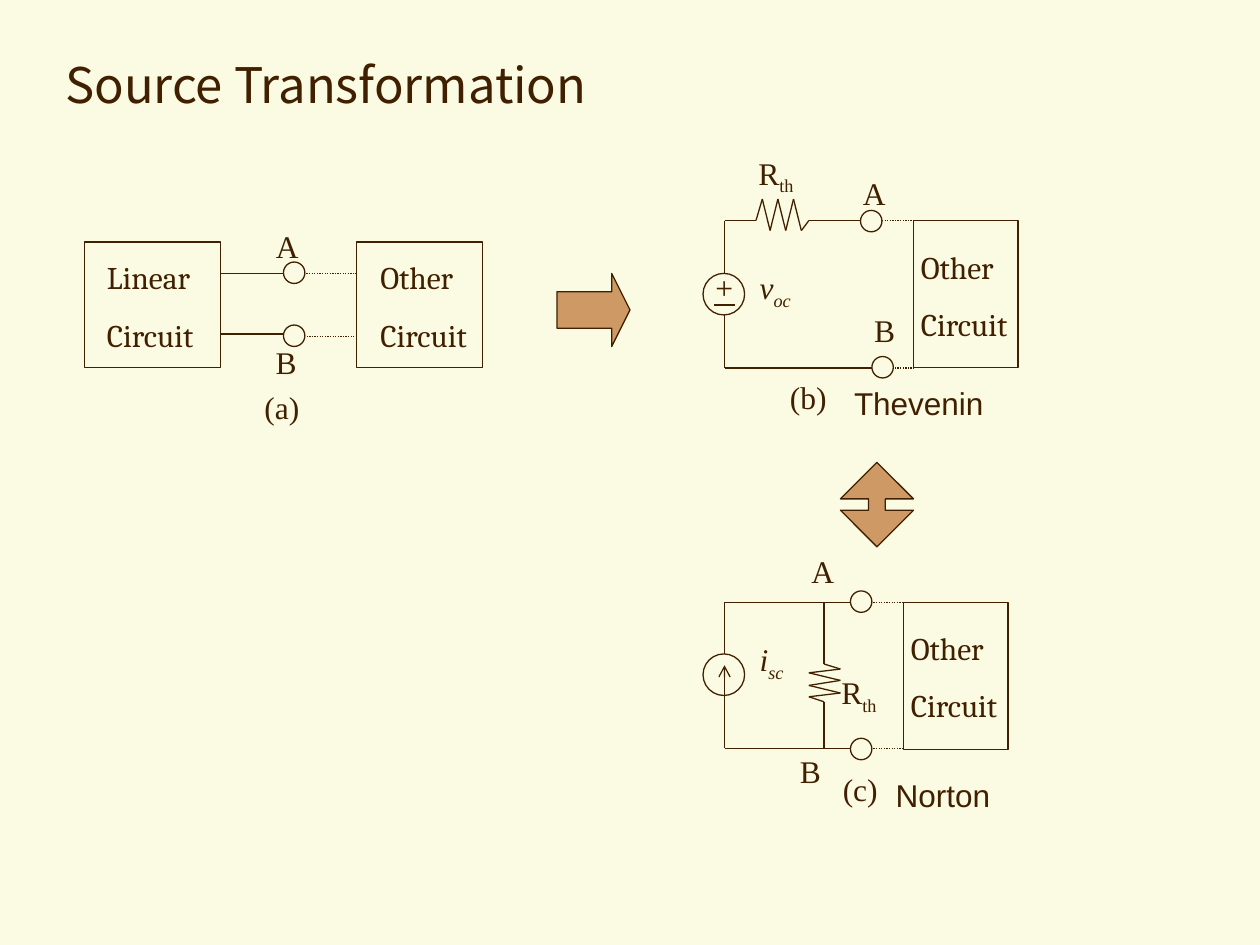
import itertools
from dataclasses import dataclass

import pptx
import pptx.dml.color
import pptx.enum.dml
import pptx.enum.shapes
import pptx.enum.text
import pptx.oxml.ns
import pptx.shapes.autoshape
import pptx.shapes.connector
import pptx.util
from lxml import etree

Inches = pptx.util.Inches
Shape = pptx.enum.shapes.MSO_SHAPE
BROWN = pptx.dml.color.RGBColor(0x40, 0x20, 0x00)
CREAM = pptx.dml.color.RGBColor(0xFB, 0xFA, 0xE2)
TAN = pptx.dml.color.RGBColor(0xCE, 0x99, 0x64)
SERIF = "Times New Roman"
LINE_WIDTH = pptx.util.Pt(0.75)
TERMINAL_SIZE = 0.17
SOURCE_SIZE = 0.33
Point = tuple[float, float]


@dataclass(frozen=True)
class Label:
    text: str
    left: float
    top: float
    width: float
    height: float = 0.4
    subscript: str = ""
    font: str = SERIF
    italic: bool = False
    wrap: bool = False
    size: float = 18


@dataclass(frozen=True)
class Block:
    left: float
    top: float
    width: float
    height: float
    kind: Shape = Shape.RECTANGLE
    fill: pptx.dml.color.RGBColor | None = None
    adjustments: tuple[float, ...] = ()


@dataclass(frozen=True)
class Circuit:
    blocks: list[Block]
    wires: list[list[Point]]
    dotted_wires: list[list[Point]]
    terminals: list[Point]
    labels: list[Label]


def draw_label(shapes, label: Label) -> pptx.shapes.autoshape.Shape:
    box = shapes.add_textbox(
        Inches(label.left), Inches(label.top), Inches(label.width), Inches(label.height)
    )
    frame = box.text_frame
    frame.word_wrap = label.wrap
    frame.text = label.text
    if label.subscript:
        run = frame.paragraphs[0].add_run()
        run.text = label.subscript
        run._r.get_or_add_rPr().set("baseline", "-25000")
    for index, paragraph in enumerate(frame.paragraphs):
        if index:
            paragraph.space_before = pptx.util.Pt(11.2)
        for run in paragraph.runs:
            run.font.name = label.font
            run.font.size = pptx.util.Pt(label.size)
            run.font.italic = label.italic
            run.font.color.rgb = BROWN
    return box


def draw_block(shapes, block: Block) -> None:
    shape = shapes.add_shape(
        block.kind, Inches(block.left), Inches(block.top), Inches(block.width), Inches(block.height)
    )
    shape.shadow.inherit = False
    shape.line.color.rgb = BROWN
    shape.line.width = LINE_WIDTH
    if block.fill is None:
        shape.fill.background()
    else:
        shape.fill.solid()
        shape.fill.fore_color.rgb = block.fill
    for index, value in enumerate(block.adjustments):
        shape.adjustments[index] = value


def draw_line(shapes, start: Point, end: Point) -> pptx.shapes.connector.Connector:
    line = shapes.add_connector(
        pptx.enum.shapes.MSO_CONNECTOR.STRAIGHT, *(Inches(value) for value in start + end)
    )
    line.line.color.rgb = BROWN
    line.line.width = LINE_WIDTH
    etree.SubElement(line._element.spPr, pptx.oxml.ns.qn("a:effectLst"))
    return line


def draw_wire(shapes, points: list[Point], dotted: bool = False) -> None:
    for start, end in itertools.pairwise(points):
        line = draw_line(shapes, start, end)
        if dotted:
            line.line.dash_style = pptx.enum.dml.MSO_LINE.ROUND_DOT


def draw_circuit(shapes, circuit: Circuit) -> None:
    for block in circuit.blocks:
        draw_block(shapes, block)
    for wire in circuit.wires:
        draw_wire(shapes, wire)
    for wire in circuit.dotted_wires:
        draw_wire(shapes, wire, dotted=True)
    for left, top in circuit.terminals:
        draw_block(shapes, Block(left, top, TERMINAL_SIZE, TERMINAL_SIZE, Shape.OVAL, CREAM))
    for label in circuit.labels:
        draw_label(shapes, label)


def circuit_name(text: str, left: float, top: float, width: float = 0.92) -> Label:
    return Label(text, left, top, width, 0.86, font="Cambria", wrap=True)


def source_circle(top: float) -> Block:
    return Block(5.58, top, SOURCE_SIZE, SOURCE_SIZE, Shape.OVAL)


LINEAR = Circuit(
    blocks=[Block(0.67, 1.92, 1.08, 1), Block(2.83, 1.92, 1, 1)],
    wires=[[(1.75, 2.17), (2.25, 2.17)], [(1.75, 2.65), (2.25, 2.65)]],
    dotted_wires=[[(2.33, 2.17), (2.83, 2.17)], [(2.25, 2.67), (2.83, 2.67)]],
    terminals=[(2.25, 2.08), (2.25, 2.58)],
    labels=[
        circuit_name("Linear\nCircuit", 0.75, 2),
        circuit_name("Other\nCircuit", 2.92, 2),
        Label("A", 2.09, 1.75, 0.38),
        Label("B", 2.09, 2.67, 0.36),
        Label("(a)", 2, 3.03, 0.48),
    ],
)

SERIES_ZIGZAG = [(6.05 + 0.062 * step, 1.83 if step % 2 else 1.58) for step in range(6)]
THEVENIN = Circuit(
    blocks=[source_circle(2.17), Block(7.25, 1.75, 0.83, 1.17)],
    wires=[
        [(5.75, 2.17), (5.75, 1.75), (6, 1.75), *SERIES_ZIGZAG, (6.42, 1.75), (6.83, 1.75)],
        [(5.67, 2.42), (5.83, 2.42)],
        [(5.75, 2.5), (5.75, 2.92), (7, 2.92)],
    ],
    dotted_wires=[[(7, y), (7.25, y)] for y in (1.75, 2.92)],
    terminals=[(6.83, 1.67), (6.92, 2.83)],
    labels=[
        circuit_name("Other\nCircuit", 7.21, 1.92),
        Label("+", 5.58, 2.08, 0.33, wrap=True),
        Label("v", 5.93, 2.08, 0.51, 0.44, subscript="oc", italic=True),
        Label("R", 5.92, 1.17, 0.67, 0.44, subscript="th", wrap=True),
        Label("A", 6.75, 1.33, 0.38),
        Label("B", 6.84, 2.42, 0.36),
        Label("(b)", 6.17, 2.95, 0.49),
        Label("Thevenin", 6.68, 3, 1.23, font="Arial"),
    ],
)

SHUNT_ZIGZAG = [
    (6.42 if step % 2 else 6.67, y) for step, y in enumerate((5.31, 5.34, 5.4, 5.44, 5.5, 5.53))
]
NORTON = Circuit(
    blocks=[source_circle(5.19), Block(7.17, 4.78, 0.83, 1.17)],
    wires=[
        [(5.75, 5.19), (5.75, 4.78), (6.75, 4.78)],
        [(5.75, 5.53), (5.75, 5.94), (6.75, 5.94)],
        [(6.54, 4.78), (6.54, 5.27), *SHUNT_ZIGZAG, (6.54, 5.57), (6.54, 5.94)],
    ],
    dotted_wires=[[(6.83, y), (7.17, y)] for y in (4.78, 5.94)],
    terminals=[(6.75, 4.69), (6.75, 5.86)],
    labels=[
        circuit_name("Other\nCircuit", 7.13, 4.94, 1.08),
        Label("i", 5.93, 5.03, 0.39, 0.44, subscript="sc", italic=True),
        Label("R", 6.58, 5.29, 0.67, 0.44, subscript="th", wrap=True),
        Label("A", 6.34, 4.33, 0.38),
        Label("B", 6.25, 5.92, 0.36),
        Label("(c)", 6.59, 6.06, 0.48),
        Label("Norton", 7.01, 6.11, 0.95, font="Arial"),
    ],
)

TITLE = Label(
    "Source Transformation", 0.42, 0.25, 9.17, 0.83, font="Noto Sans CJK KR", wrap=True, size=28
)
BLOCK_ARROWS = [
    Block(4.42, 2.17, 0.58, 0.58, Shape.RIGHT_ARROW, TAN, (0.5, 0.25)),
    Block(6.67, 3.67, 0.58, 0.67, Shape.UP_DOWN_ARROW, TAN, (0.5, 0.23)),
]


def main() -> None:
    presentation = pptx.Presentation()
    presentation.slide_width = Inches(10)
    presentation.slide_height = Inches(7.5)
    slide = presentation.slides.add_slide(presentation.slide_layouts[6])
    slide.background.fill.solid()
    slide.background.fill.fore_color.rgb = CREAM

    title = draw_label(slide.shapes, TITLE)
    title.text_frame.vertical_anchor = pptx.enum.text.MSO_ANCHOR.MIDDLE
    draw_circuit(slide.shapes, LINEAR)
    draw_circuit(slide.shapes.add_group_shape().shapes, THEVENIN)
    norton_shapes = slide.shapes.add_group_shape().shapes
    draw_circuit(norton_shapes, NORTON)
    current_arrow = draw_line(norton_shapes, (5.75, 5.53), (5.75, 5.28))
    outline = current_arrow.line._get_or_add_ln()
    etree.SubElement(outline, pptx.oxml.ns.qn("a:tailEnd"), type="arrow")
    for arrow in BLOCK_ARROWS:
        draw_block(slide.shapes, arrow)
    presentation.save("out.pptx")


if __name__ == "__main__":
    main()
